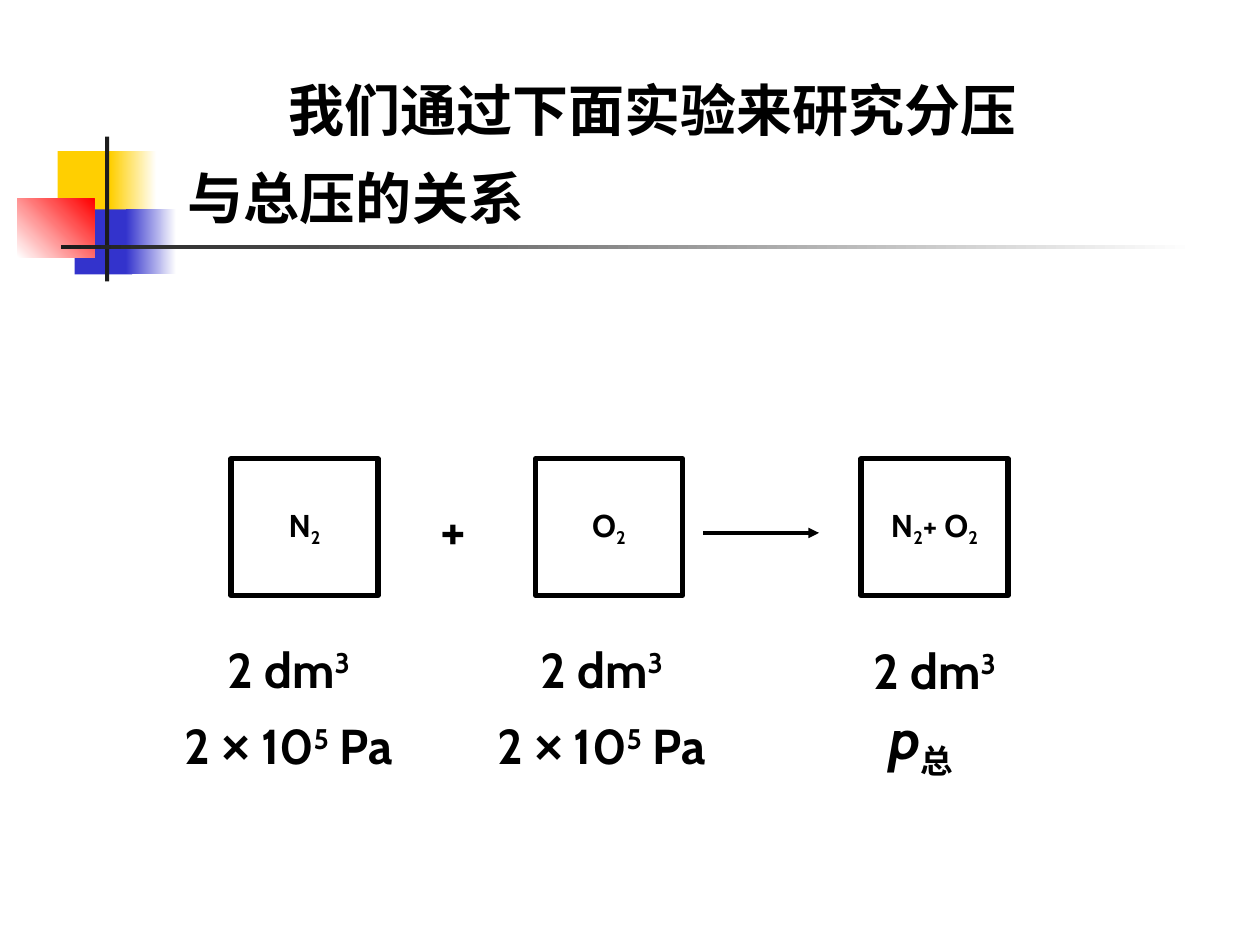
from lxml.etree import SubElement
from pptx import Presentation
from pptx.dml.color import RGBColor
from pptx.enum.shapes import MSO_CONNECTOR, MSO_SHAPE
from pptx.enum.text import MSO_ANCHOR as Anchor, MSO_AUTO_SIZE as AutoSize, PP_ALIGN as Align
from pptx.oxml.ns import qn
from pptx.util import Inches, Pt

COLORS = {"ink": "000000", "paper": "FFFFFF", "yellow": "FFCF01",
          "blue": "3333CC", "red": "FF0000", "bar": "1C1C1C"}
SUP, SUB = 30, -25


class SlideBuilder:
    """Holds the style and the current slide, on a grid of 120 columns by 90 rows."""

    font = "Cabin"
    cell = 1 / 12

    def __init__(self, deck):
        self.page = deck.slides.add_slide(deck.slide_layouts[5])

    def grid(self, *cells):
        return [Inches(count * self.cell) for count in cells]

    def color(self, name):
        return RGBColor.from_string(COLORS[name])

    def add_lines(self, box, lines, size, spacing=None, align=Align.LEFT, indents=()):
        frame = box.text_frame
        for number, runs in enumerate(lines):
            para = frame.paragraphs[0] if number == 0 else frame.add_paragraph()
            para.alignment = align
            if spacing:
                para.line_spacing = spacing
            if number < len(indents):
                properties = para._p.get_or_add_pPr()
                properties.set("marL", "0")
                properties.set("indent", str(Inches(indents[number])))
            for text, *style in runs:
                span = para.add_run()
                span.text = text
                font = span.font
                font.name, font.size, font.bold = self.font, Pt(size), True
                font.color.rgb = self.color("ink")
                for value in style:
                    if value == "italic":
                        font.italic = True
                    elif isinstance(value, str):
                        font.name = value
                    else:
                        font._element.set("baseline", str(value * 1000))

    def title(self, place, lines, indents):
        box = self.page.shapes.title
        box.left, box.top, box.width, box.height = self.grid(*place)
        box.text_frame.vertical_anchor = Anchor.TOP
        box.text_frame.auto_size = AutoSize.SHAPE_TO_FIT_TEXT
        self.add_lines(box, lines, 32, 1.3, indents=indents)

    def text(self, place, lines, size=28, indents=()):
        box = self.page.shapes.add_textbox(*self.grid(*place))
        box.text_frame.word_wrap = True
        box.text_frame.auto_size = AutoSize.SHAPE_TO_FIT_TEXT
        self.add_lines(box, lines, size, 1.3, indents=indents)

    def block(self, place, start, end=None, angle=0):
        box = self.page.shapes.add_shape(MSO_SHAPE.RECTANGLE, *self.grid(*place))
        box.shadow.inherit = False
        box.line.fill.background()
        if end is None:
            box.fill.solid()
            box.fill.fore_color.rgb = self.color(start)
            return
        box.fill.gradient()
        box.fill.gradient_angle = angle
        for stop, name, position in zip(box.fill.gradient_stops, (start, end), (0, 1)):
            stop.color.rgb = self.color(name)
            stop.position = position

    def frame(self, place, runs, size=18, line="ink", width=3, align=Align.CENTER,
              anchor=Anchor.MIDDLE):
        box = self.page.shapes.add_shape(MSO_SHAPE.RECTANGLE, *self.grid(*place))
        box.shadow.inherit = False
        box.fill.background()
        box.line.color.rgb = self.color(line)
        box.line.width = Pt(width)
        box.text_frame.word_wrap = False
        box.text_frame.vertical_anchor = anchor
        self.add_lines(box, [runs], size, align=align)

    def arrow(self, left, right, row):
        line = self.page.shapes.add_connector(
            MSO_CONNECTOR.STRAIGHT, *self.grid(left, row, right, row))
        line.line.color.rgb = self.color("ink")
        line.line.width = Pt(2)
        SubElement(line.line._get_or_add_ln(), qn("a:tailEnd"), type="triangle")
        SubElement(line._element.spPr, qn("a:effectLst"))


def main():
    deck = Presentation()
    deck.slide_width, deck.slide_height = Inches(10), Inches(7.5)
    slide = SlideBuilder(deck)

    slide.block((5.5, 14.4, 5.8, 6.2), "yellow")
    slide.block((10.5, 14.4, 4.4, 6.2), "yellow", "paper")
    slide.block((7.1, 19.95, 5.5, 6.2), "blue")
    slide.block((12, 19.95, 4.8, 6.2), "blue", "paper")
    slide.block((1.65, 18.95, 7.35, 5.55), "paper", "red", 45)
    slide.block((10, 13, 0.4, 13.8), "bar")
    slide.block((5.8, 23.35, 108, 0.4), "bar", "paper")

    slide.title((16.7, 4.7, 90.8, 17.9),
                [[("我们通过下面实验来研究分压",)], [("与总压的关系",)]], (0.8, 0))

    nitrogen, oxygen = [("N",), ("2", SUB)], [("O",), ("2", SUB)]
    mixture = nitrogen + [("+ O",), ("2", SUB)]
    for column, gas in zip((22, 51, 82), (nitrogen, oxygen, mixture)):
        slide.frame((column, 43.7, 14, 13), gas)
    slide.frame((40.8, 46.55, 7.7, 7.7), [("+",)], 32, "paper", 0.75,
                Align.LEFT, Anchor.TOP)
    slide.arrow(67, 78, 50.75)

    volume = [("2 dm",), ("3", SUP)]
    pressure = [("2 ",), ("×", "Arial"), (" 10",), ("5", SUP), (" Pa",)]
    for column in (16.4, 46.2):
        slide.text((column, 58.6, 27, 15.8), [volume, pressure], indents=(0.34, 0))
    slide.text((82, 58.7, 21, 8.5), [volume])
    slide.text((81, 64.2, 21, 10.7), [[("p", "italic"), ("总", SUB)]], 32, (0.21,))

    deck.save("out.pptx")


if __name__ == "__main__":
    main()
